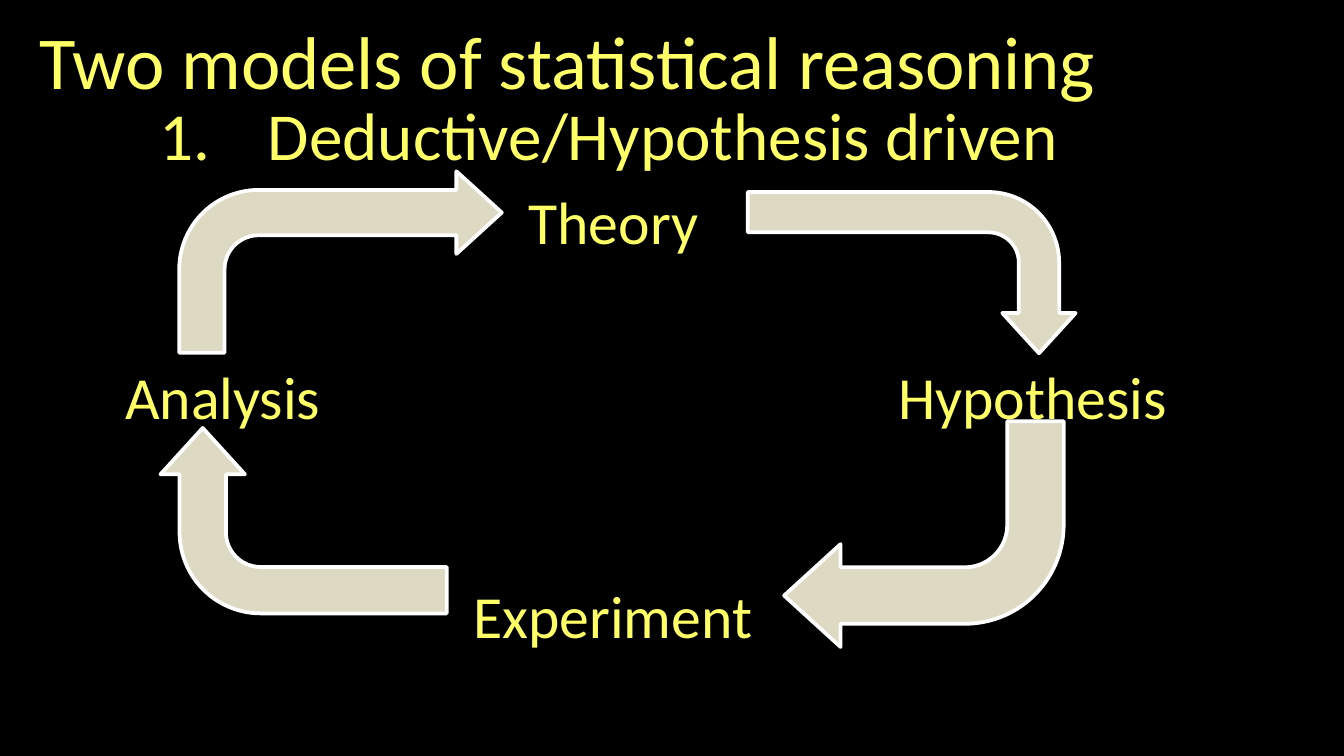
from collections import namedtuple

from lxml import etree
from pptx import Presentation
from pptx.dml.color import RGBColor
from pptx.enum.shapes import MSO_SHAPE
from pptx.enum.text import MSO_ANCHOR, MSO_AUTO_SIZE, PP_ALIGN
from pptx.oxml.ns import qn
from pptx.util import Inches, Pt

BENT_ARROW = MSO_SHAPE.BENT_ARROW
TOP, LEFT, NO_FIT = MSO_ANCHOR.TOP, PP_ALIGN.LEFT, MSO_AUTO_SIZE.NONE

FONT = "Calibri"
YELLOW, SAND, WHITE, BLACK = "FFFF66", "DDD9C3", "FFFFFF", "000000"
SLIDE_WIDTH = Inches(10)
SLIDE_HEIGHT = SLIDE_WIDTH * 9 // 16
CELL = SLIDE_WIDTH // 100  # side of a square grid cell, 100 columns across

Box = namedtuple("Box", "left top width height")

# Positions in columns and rows inside the cycle's box
STAGES = [
    ("Theory", Box(30.3, 1.2, 14.8, 4.8)),
    ("Hypothesis", Box(57.8, 14.2, 23.2, 4.8)),
    ("Experiment", Box(26.2, 30.5, 23, 4.8)),
    ("Analysis", Box(0.3, 14.2, 16.7, 4.8)),
]
ARROWS = [
    (90, Box(47.6, 2.25, 24.4, 12)),
    (180, Box(50.3, 19.3, 20.8, 16.8)),
    (270, Box(3.9, 19.8, 21.3, 13.8)),
    (0, Box(5.3, 0.7, 24, 13.5)),
]
ARROW_SHAPE = (0.25, 0.228, 0.25, 0.438)


def color(value):
    return RGBColor.from_string(value)


def inside(outer, inner):
    return Box(outer.left + inner.left, outer.top + inner.top, inner.width, inner.height)


def to_lengths(box):
    return [round(value * CELL) for value in box]


def number_paragraph(para, indent):
    """Give the paragraph an automatic number with a hanging indent in columns."""
    properties = para._p.get_or_add_pPr()
    hang = round(indent * CELL)
    properties.set("marL", str(hang))
    properties.set("indent", str(-hang))
    bullet_color = etree.SubElement(properties, qn("a:buClr"))
    etree.SubElement(bullet_color, qn("a:srgbClr"), val=YELLOW)
    etree.SubElement(properties, qn("a:buFont"), typeface="+mj-lt")
    etree.SubElement(properties, qn("a:buAutoNum"), type="arabicPeriod")


def write_text(shape, text, size=32, indent=None):
    frame = shape.text_frame
    frame.word_wrap = True
    frame.auto_size = NO_FIT
    frame.vertical_anchor = TOP
    para = frame.paragraphs[0]
    para.alignment = LEFT
    if indent:
        number_paragraph(para, indent)
    span = para.add_run()
    span.text = text
    span.font.name = FONT
    span.font.size = Pt(size)
    span.font.color.rgb = color(YELLOW)


def add_label(page, box, text, **text_format):
    write_text(page.shapes.add_textbox(*to_lengths(box)), text, **text_format)


def add_bent_arrow(page, box, rotation):
    """Fill the box as seen after rotation; quarter turns swap width and height."""
    if rotation % 180:
        shift = (box.width - box.height) / 2
        box = Box(box.left + shift, box.top - shift, box.height, box.width)
    arrow = page.shapes.add_shape(BENT_ARROW, *to_lengths(box))
    arrow.rotation = rotation
    for index, value in enumerate(ARROW_SHAPE):
        arrow.adjustments[index] = value
    arrow.shadow.inherit = False
    arrow.fill.solid()
    arrow.fill.fore_color.rgb = color(SAND)
    arrow.line.color.rgb = color(WHITE)
    arrow.line.width = Pt(2)


def add_heading(page, box):
    title = page.shapes.title
    title.left, title.top, title.width, title.height = to_lengths(
        inside(box, Box(0, 0, 83.9, 5.8)))
    write_text(title, "Two models of statistical reasoning", size=40)
    add_label(page, inside(box, Box(8.9, 5.8, 69.6, 5.3)),
              "Deductive/Hypothesis driven", size=36, indent=8.1)


def add_cycle(page, box):
    for text, place in STAGES:
        add_label(page, inside(box, place), text)
    for rotation, place in ARROWS:
        add_bent_arrow(page, inside(box, place), rotation)


def main():
    deck = Presentation()
    deck.slide_width, deck.slide_height = SLIDE_WIDTH, SLIDE_HEIGHT
    page = deck.slides.add_slide(deck.slide_layouts[5])
    page.background.fill.solid()
    page.background.fill.fore_color.rgb = color(BLACK)
    add_heading(page, Box(1.95, 0.63, 84, 11.1))
    add_cycle(page, Box(8.04, 12.04, 81, 36.1))
    deck.save("out.pptx")


if __name__ == "__main__":
    main()
